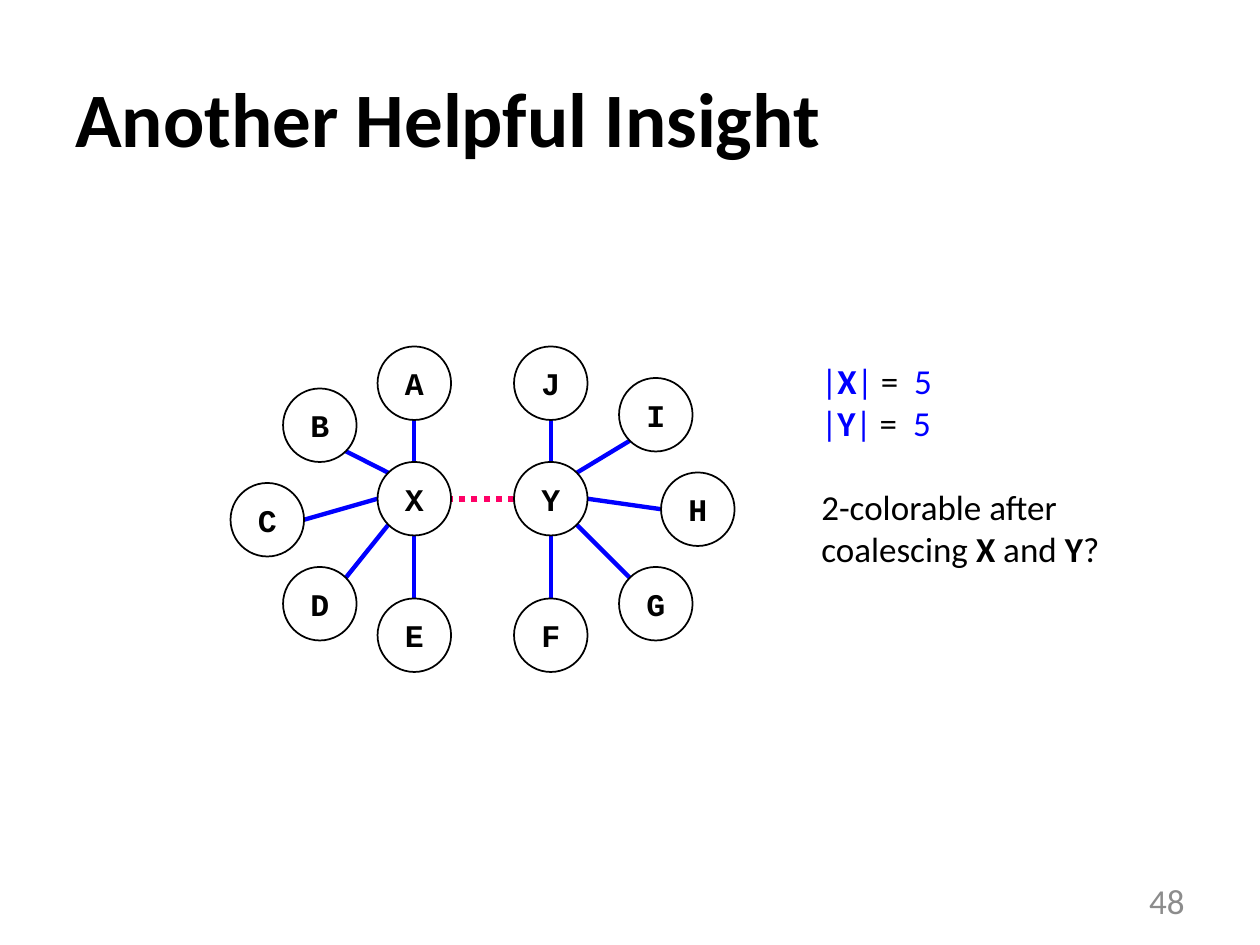
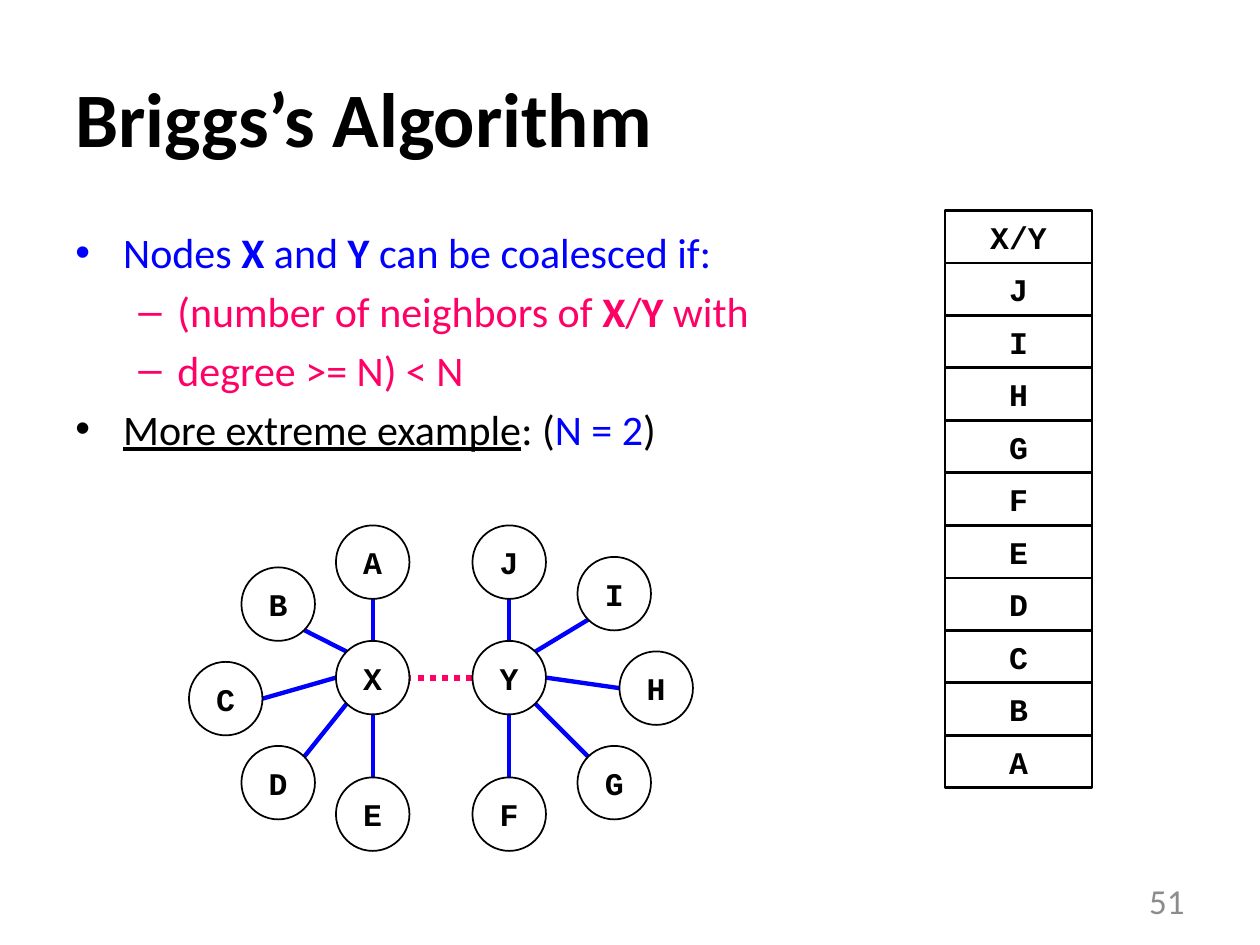
from dataclasses import dataclass
from math import cos, radians, sin

from lxml.etree import SubElement
from pptx import Presentation
from pptx.dml.color import RGBColor as RGB
from pptx.enum.dml import MSO_LINE_DASH_STYLE as Dash
from pptx.enum.shapes import MSO_CONNECTOR as Connector, MSO_SHAPE as Shape
from pptx.enum.text import MSO_ANCHOR as Anchor, PP_ALIGN as Align
from pptx.oxml.ns import qn
from pptx.util import Inches, Pt


@dataclass(frozen=True)
class Theme:
    """Colours, fonts and type sizes of the deck."""
    ink: RGB = RGB(0, 0, 0)
    blue: RGB = RGB(0, 0, 0xFF)
    pink: RGB = RGB(0xFF, 0, 0x66)
    grey: RGB = RGB(0x8C, 0x8C, 0x8C)
    sans: str = "Calibri"
    mono: str = "Courier New"
    title: int = 44
    body: int = 24
    note: int = 20
    label: int = 18


THEME = Theme()
LABEL = {"size": Pt(THEME.label), "name": THEME.mono, "bold": True}
BODY = {"size": Pt(THEME.body)}
NOTE = {"size": Pt(THEME.note)}
BLUE = {"color": THEME.blue}
PINK = {"color": THEME.pink}
BOLD = {"bold": True}

# The interference graph lies on a grid of twelfths of an inch.
UNIT = 1 / 12
NODE_SIZE = 7
NODES = {  # left and top inside the graph box, in grid units
    "A": (14, 0), "B": (5, 4), "C": (0, 13), "D": (5, 21), "E": (14, 24),
    "F": (27, 24), "G": (37, 21), "H": (41, 12), "I": (37, 3), "J": (27, 0),
    "X": (14, 11), "Y": (27, 11),
}
INTERFERENCES = {  # angle at which each edge leaves the hub, clockwise
    "X": {"A": 270, "B": 225, "C": 180, "D": 135, "E": 90},
    "Y": {"F": 90, "G": 45, "H": 0, "I": 315, "J": 270},
}
CELL_SIZE = (14 * UNIT, 5 * UNIT)
STACK = ["X/Y", *"JIHGFEDCBA"]


def add_run(paragraph, text, **formats):
    """Append a run, plain ink unless the formats say otherwise."""
    font = paragraph.add_run()
    font.text = text
    font = font.font
    formats = {"name": THEME.sans, "color": THEME.ink, **formats}
    font.color.rgb = formats.pop("color")
    for attribute, value in formats.items():
        setattr(font, attribute, value)


def add_text(slide, box, paragraphs, anchor=Anchor.TOP, align=Align.LEFT):
    """Fill a text box with paragraphs, each a list of (text, formats)."""
    frame = slide.shapes.add_textbox(*map(Inches, box)).text_frame
    frame.word_wrap = True
    frame.vertical_anchor = anchor
    for index, runs in enumerate(paragraphs):
        paragraph = frame.paragraphs[0] if index == 0 else frame.add_paragraph()
        paragraph.alignment = align
        for text, formats in runs:
            add_run(paragraph, text, **formats)
    return frame.paragraphs


def add_bullet(paragraph, mark, left, hanging):
    """Give a paragraph a bullet with a hanging indent."""
    properties = paragraph._p.get_or_add_pPr()
    properties.set("marL", str(Inches(left)))
    properties.set("indent", str(-Inches(hanging)))
    SubElement(properties, qn("a:buFont"), typeface="Arial")
    SubElement(properties, qn("a:buChar"), char=mark)


def add_label(slide, kind, box, text, weight):
    """Draw an unfilled outline with a centred label."""
    outline = slide.shapes.add_shape(kind, *map(Inches, box))
    outline.shadow.inherit = False
    outline.fill.background()
    outline.line.color.rgb = THEME.ink
    outline.line.width = Pt(weight)
    frame = outline.text_frame
    margins = dict.fromkeys(
        ("margin_left", "margin_right", "margin_top", "margin_bottom"), 0)
    for attribute, value in {**margins, "vertical_anchor": Anchor.MIDDLE}.items():
        setattr(frame, attribute, value)
    frame.paragraphs[0].alignment = Align.CENTER
    add_run(frame.paragraphs[0], text, **LABEL)


def add_edge(slide, start, end, color, weight, dash=None):
    """Draw a straight edge between two points."""
    edge = slide.shapes.add_connector(
        Connector.STRAIGHT, *map(Inches, (*start, *end)))
    edge.line.color.rgb = color
    edge.line.width = Pt(weight)
    if dash:
        edge.line.dash_style = dash
    SubElement(edge._element.spPr, qn("a:effectLst"))


def add_graph(slide, left, top):
    """Draw the interference graph with its top left corner at a point."""
    def rim(node, angle):
        """Return the point of a node's outline at an angle."""
        radius, turn = NODE_SIZE / 2, radians(angle)
        x, y = NODES[node]
        return (left + UNIT * (x + radius + radius * cos(turn)),
                top + UNIT * (y + radius + radius * sin(turn)))

    for hub, neighbors in INTERFERENCES.items():
        for neighbor, angle in neighbors.items():
            add_edge(slide, rim(neighbor, angle + 180), rim(hub, angle),
                     THEME.blue, 2.5)
    add_edge(slide, rim("Y", 180), rim("X", 0), THEME.pink, 3.5,
             Dash.ROUND_DOT)
    size = NODE_SIZE * UNIT
    for name, (x, y) in NODES.items():
        box = (left + x * UNIT, top + y * UNIT, size, size)
        add_label(slide, Shape.OVAL, box, name, 1)


def add_stack(slide, left, top):
    """Stack the removed nodes in cells, downwards from a point."""
    width, height = CELL_SIZE
    for row, name in enumerate(STACK):
        box = (left, top + row * height, width, height)
        add_label(slide, Shape.RECTANGLE, box, name, 1.5)


def add_question(slide, box):
    """Write the two degrees and the question beside the graph."""
    note, blue, bold = NOTE, {**NOTE, **BLUE}, {**NOTE, **BOLD}
    degrees = [[("|", blue), (hub, {**blue, **BOLD}), ("|", blue),
                (" =  ", note), ("5", blue)] for hub in INTERFERENCES]
    question = [("2-colorable after coalescing ", note), ("X", bold),
                (" and ", note), ("Y", bold), ("?", note)]
    paragraphs = add_text(slide, box, [*degrees, question])
    paragraphs[-1].space_before = Pt(24.4)


def add_rule(slide, box):
    """Write the coalescing rule as a two-level list."""
    blue, pink = {**BODY, **BLUE}, {**BODY, **PINK}
    blue_bold, pink_bold = {**blue, **BOLD}, {**pink, **BOLD}
    first, second = ("•", 0.38, 0.38), ("–", 0.81, 0.31)
    items = [
        (first, [("Nodes ", blue), ("X", blue_bold), (" and ", blue),
                 ("Y", blue_bold), (" can be coalesced if:", blue)]),
        (second, [("(number of neighbors of ", pink), ("X", pink_bold),
                  ("/", pink), ("Y", pink_bold), (" with ", pink)]),
        (second, [("degree >= N) < N", pink)]),
        (first, [("More extreme example", {**BODY, "underline": True}),
                 (": (", BODY), ("N = 2", blue), (")", BODY)]),
    ]
    paragraphs = add_text(slide, box, [runs for _, runs in items])
    for paragraph, (bullet, _) in zip(paragraphs, items):
        paragraph.space_before = Pt(0.2 * THEME.body)
        add_bullet(paragraph, *bullet)


def add_slide(deck, title, number):
    """Add a blank slide with the shared title and page number."""
    slide = deck.slides.add_slide(deck.slide_layouts[6])
    add_text(slide, (0.5, 0.3, 9, 1.25),
             [[(title, {"size": Pt(THEME.title), "bold": True})]],
             Anchor.MIDDLE)
    add_text(slide, (7.17, 6.95, 2.33, 0.4),
             [[(number, {**NOTE, "color": THEME.grey})]],
             Anchor.MIDDLE, Align.RIGHT)
    return slide


def build_insight(deck):
    """Build the slide that asks whether the graph stays colorable."""
    slide = add_slide(deck, "Another Helpful Insight", "48")
    add_graph(slide, 1.83, 2.75)
    add_question(slide, (6.42, 2.8, 2.5, 2.12))


def build_briggs(deck):
    """Build the slide with the rule, the graph and the stack."""
    slide = add_slide(deck, "Briggs’s Algorithm", "51")
    add_rule(slide, (0.5, 1.75, 9, 4.95))
    add_graph(slide, 1.5, 4.17)
    add_stack(slide, 7.5, 1.67)


def main():
    """Build and save the deck."""
    deck = Presentation()
    deck.slide_width, deck.slide_height = Inches(10), Inches(7.5)
    build_insight(deck)
    build_briggs(deck)
    deck.save("out.pptx")


main()
